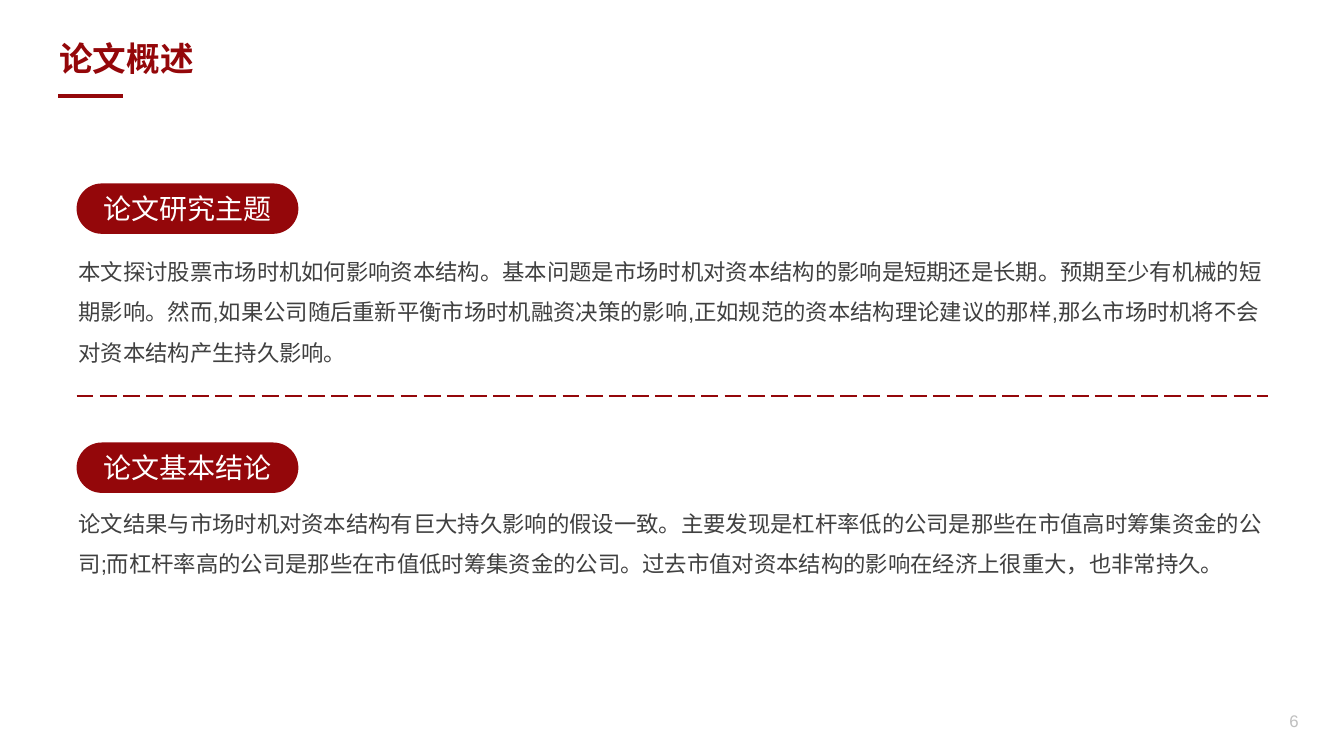
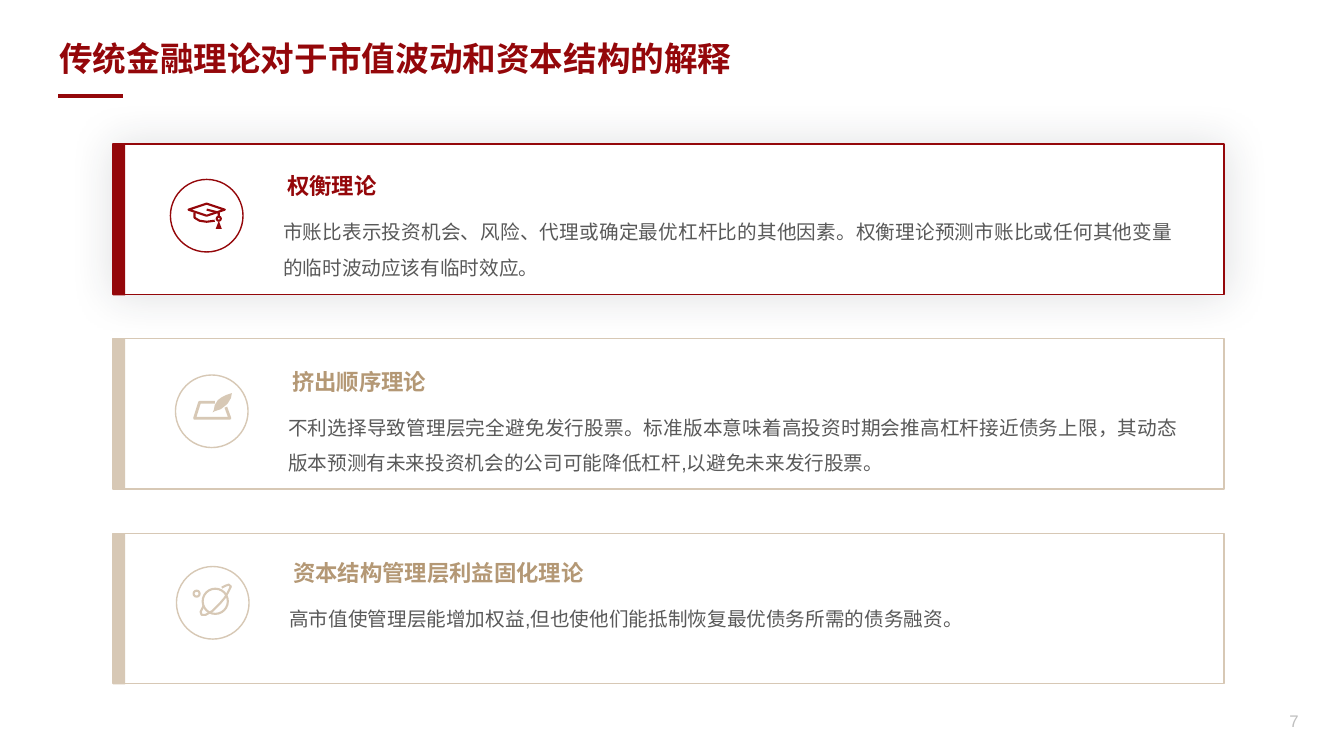
from lxml import etree
from pptx import Presentation
from pptx import util as u
from pptx.dml.color import RGBColor
from pptx.enum import dml, shapes, text
from pptx.oxml.ns import qn

PX = 9144  # 100 px to the inch
RED, SAND, TAN = "94070A", "D7C8B5", "B49875"
WHITE, DARK, GREY, PALE = "FFFFFF", "404040", "595959", "BFBFBF"
LATIN, CJK = "Arial", "Noto Sans CJK SC"
RECT = shapes.MSO_SHAPE.RECTANGLE
OVAL = shapes.MSO_SHAPE.OVAL
PILL = shapes.MSO_SHAPE.ROUNDED_RECTANGLE
LEFT, CENTER = text.PP_ALIGN.LEFT, text.PP_ALIGN.CENTER
RIGHT, JUSTIFY = text.PP_ALIGN.RIGHT, text.PP_ALIGN.JUSTIFY

SECTIONS = [
    (182, "论文研究主题", 238,
     "本文探讨股票市场时机如何影响资本结构。基本问题是市场时机对资本结构的影响是短期还是长期。"
     "预期至少有机械的短期影响。然而,如果公司随后重新平衡市场时机融资决策的影响,"
     "正如规范的资本结构理论建议的那样,那么市场时机将不会对资本结构产生持久影响。"),
    (439, "论文基本结论", 488,
     "论文结果与市场时机对资本结构有巨大持久影响的假设一致。"
     "主要发现是杠杆率低的公司是那些在市值高时筹集资金的公司;"
     "而杠杆率高的公司是那些在市值低时筹集资金的公司。"
     "过去市值对资本结构的影响在经济上很重大，也非常持久。"),
]


def px(*values):
    return [u.Emu(v * PX) for v in values]


def rgb(color):
    return RGBColor.from_string(color)


def paint(sp, fill=None, line=None, weight=1):
    sp.shadow.inherit = False
    if fill:
        sp.fill.solid()
        sp.fill.fore_color.rgb = rgb(fill)
    else:
        sp.fill.background()
    if line:
        sp.line.color.rgb = rgb(line)
        sp.line.width = u.Pt(weight)
    else:
        sp.line.fill.background()
    return sp


def add_shape(s, kind, x, y, w, h, **look):
    return paint(s.shapes.add_shape(kind, *px(x, y, w, h)), **look)


def add_outline(s, x, y, points, close=False, **look):
    """Draw points given in px from the corner (x, y)."""
    builder = s.shapes.build_freeform(*points[0], scale=PX)
    builder.add_line_segments(points[1:], close=close)
    return paint(builder.convert_to_shape(*px(x, y)), **look)


def add_line(s, x1, x2, y, weight, dash=None):
    line = s.shapes.add_connector(shapes.MSO_CONNECTOR.STRAIGHT, *px(x1, y, x2, y))
    line.line.color.rgb = rgb(RED)
    line.line.width = u.Pt(weight)
    if dash:
        line.line.dash_style = dash
    etree.SubElement(line._element.spPr, qn("a:effectLst"))


def write(sp, words, size, color, font=LATIN, bold=False, align=LEFT,
          spacing=None, anchor=text.MSO_ANCHOR.TOP):
    tf = sp.text_frame
    tf.word_wrap = True
    tf.vertical_anchor = anchor
    p = tf.paragraphs[0]
    p.alignment = align
    if spacing:
        p.line_spacing = spacing
    r = p.add_run()
    r.text = words
    r.font.name = font
    r.font.size = u.Pt(size)
    r.font.bold = bold
    r.font.color.rgb = rgb(color)
    etree.SubElement(r._r.get_or_add_rPr(), qn("a:ea"), typeface=CJK)


def add_text(s, x, y, w, h, words, size, color, **style):
    write(s.shapes.add_textbox(*px(x, y, w, h)), words, size, color, **style)


def add_glow(sp, color, blur, opacity):
    """Give a shape an even soft shadow; blur in points, opacity in percent."""
    effects = sp._element.spPr.find(qn("a:effectLst"))
    shadow = etree.SubElement(effects, qn("a:outerShdw"), blurRad=str(u.Pt(blur)),
                              dist="0", algn="ctr", rotWithShape="0")
    tint = etree.SubElement(shadow, qn("a:srgbClr"), val=color)
    etree.SubElement(tint, qn("a:alpha"), val=str(opacity * 1000))


def add_slide(prs, title, number):
    """Add a slide with the shared title, rule and page number."""
    s = prs.slides.add_slide(prs.slide_layouts[6])
    add_line(s, 58, 122, 95, 3)
    add_text(s, 49, 33, 1100, 50, title, 24, RED, font=CJK, bold=True)
    add_text(s, 998, 695, 300, 40, str(number), 12, PALE, align=RIGHT,
             anchor=text.MSO_ANCHOR.MIDDLE)
    return s


def add_section(s, top, label, body_top, body):
    sp = add_shape(s, PILL, 76, top, 220, 50, fill=RED)
    sp.adjustments[0] = 0.5
    write(sp, label, 20, WHITE, align=CENTER, anchor=text.MSO_ANCHOR.MIDDLE)
    add_text(s, 68, body_top, 1204, 126, body, 16, DARK, spacing=1.5)


def draw_cap(s, x, y, color):
    pen = dict(line=color, weight=1.5)
    add_outline(s, x, y, [(1, 7), (19, 1), (37, 7), (19, 13)], close=True, **pen)
    add_outline(s, x, y, [(7, 10), (7, 15), (12, 18), (19, 19), (27, 18)], **pen)
    add_outline(s, x, y, [(19, 7), (31, 10), (31, 14)], **pen)
    add_shape(s, OVAL, x + 29, y + 14, 4, 4, **pen)
    add_outline(s, x, y, [(31, 18), (34, 26), (28, 26)], close=True, fill=color)


def draw_quill(s, x, y, color):
    add_outline(s, x, y, [(21, 9), (6, 9), (1, 25), (36, 25), (32, 14)],
                line=color, weight=2)
    feather = [(38, 0), (32, 2), (28, 4), (24, 7), (21, 12), (20, 17), (19, 19),
               (21, 18), (27, 16), (32, 12), (34, 10), (37, 5)]
    add_outline(s, x, y, feather, close=True, fill=color)


def draw_planet(s, x, y, color):
    pen = dict(line=color, weight=1.5)
    add_shape(s, OVAL, x + 1, y + 7, 6, 6, **pen)
    add_shape(s, OVAL, x + 10, y + 5, 25, 25, **pen)
    ring = [(29, 4), (33, 2), (36, 1), (38, 3), (35, 9), (32, 14), (27, 20),
            (20, 27), (13, 31), (9, 31), (8, 28), (11, 22)]
    add_outline(s, x, y, ring, **pen)


def add_card(s, top, edge, ink, badge, draw_icon, icon_at, heading, body):
    """Add a framed card whose contents are placed from its round badge."""
    frame = add_shape(s, RECT, 112, top, 1102, 149, fill=WHITE, line=edge)
    add_shape(s, RECT, 112, top, 12, 150, fill=edge)
    x, y = badge
    add_shape(s, OVAL, x, y, 72, 72, line=edge)
    draw_icon(s, *icon_at, edge)
    add_text(s, x + 106, y - 12, 902, 37, heading, 16, ink, bold=True)
    add_text(s, x + 102, y + 24, 902, 77, body, 14, GREY, align=JUSTIFY, spacing=1.5)
    return frame


def main():
    prs = Presentation()
    prs.slide_width, prs.slide_height = px(1333, 750)

    s = add_slide(prs, "论文概述", 6)
    for section in SECTIONS:
        add_section(s, *section)
    add_line(s, 76, 1258, 393, 1.5, dash=dml.MSO_LINE.LONG_DASH)

    s = add_slide(prs, "传统金融理论对于市值波动和资本结构的解释", 7)
    cards = [
        (RED, RED, (169, 178), draw_cap, (186, 201), "权衡理论",
         "市账比表示投资机会、风险、代理或确定最优杠杆比的其他因素。"
         "权衡理论预测市账比或任何其他变量的临时波动应该有临时效应。"),
        (SAND, TAN, (174, 372), draw_quill, (192, 390), "挤出顺序理论",
         "不利选择导致管理层完全避免发行股票。标准版本意味着高投资时期会推高杠杆接近债务上限，"
         "其动态版本预测有未来投资机会的公司可能降低杠杆,以避免未来发行股票。"),
        (SAND, TAN, (175, 562), draw_planet, (191, 579), "资本结构管理层利益固化理论",
         "高市值使管理层能增加权益,但也使他们能抵制恢复最优债务所需的债务融资。"),
    ]
    frames = [add_card(s, 143 + 193 * i, *card) for i, card in enumerate(cards)]
    add_glow(frames[0], "222A35", blur=32, opacity=15)

    prs.save("out.pptx")


if __name__ == "__main__":
    main()
